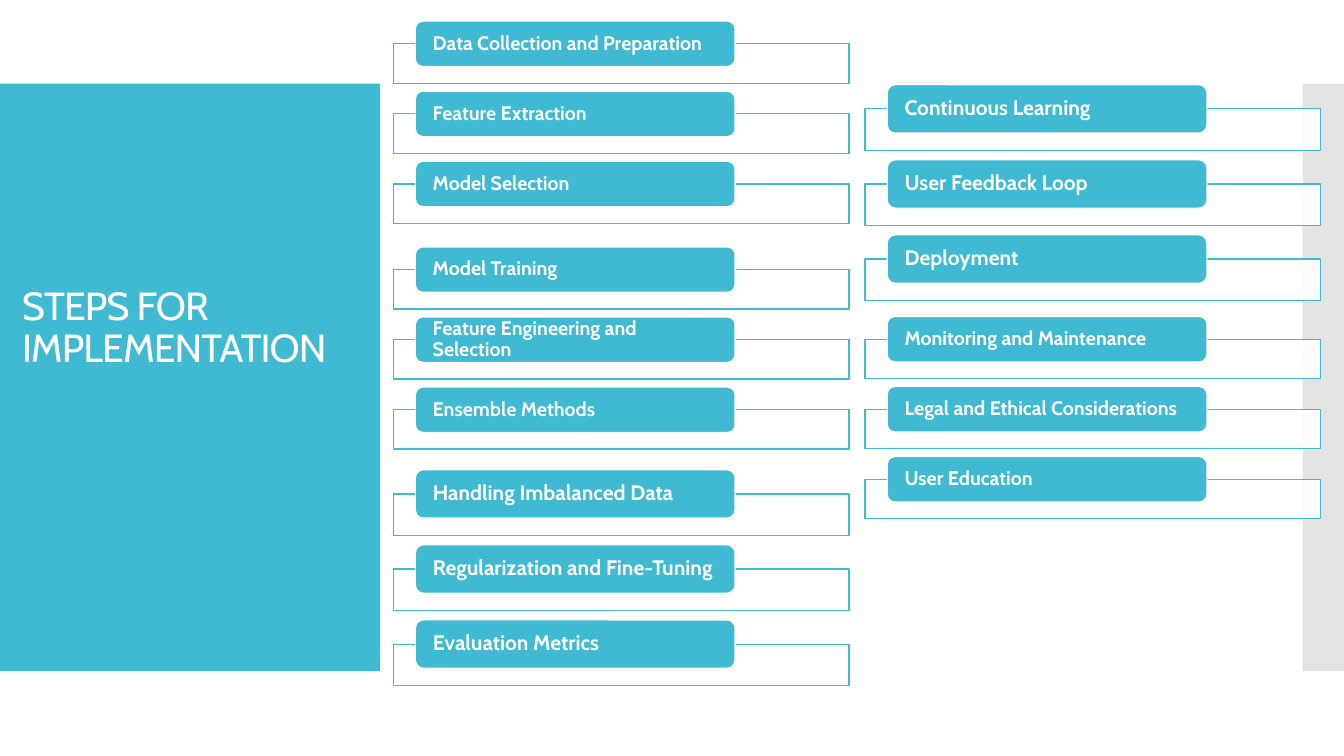
from lxml import etree
from pptx import Presentation
from pptx.dml.color import RGBColor
from pptx.enum import shapes, text
from pptx.oxml.ns import qn
from pptx.util import Inches, Pt

COLORS = {"teal": "40BAD2", "white": "FFFFFF", "gray": "C8C8C8"}
FONT = "Cabin"
LEFT_X, RIGHT_X = 3.9, 8.58

# Pill height, frame height, frame offset, row pitch (inches), font size (points)
SMALL = (0.45, 0.39, 0.225, 0.695, 14)
LARGE = (0.48, 0.41, 0.24, 0.745, 15)

# Column left, top of first pill, row style, steps
GROUPS = [
    (LEFT_X, 0.21, SMALL, ["Data Collection and Preparation", "Feature Extraction",
                           "Model Selection"]),
    (LEFT_X, 2.45, SMALL, ["Model Training", "Feature Engineering and Selection",
                           "Ensemble Methods"]),
    (LEFT_X, 4.66, LARGE, ["Handling Imbalanced Data", "Regularization and Fine-Tuning",
                           "Evaluation Metrics"]),
    (RIGHT_X, 0.84, LARGE, ["Continuous Learning", "User Feedback Loop", "Deployment"]),
    (RIGHT_X, 3.14, SMALL, ["Monitoring and Maintenance",
                            "Legal and Ethical Considerations", "User Education"]),
]


def rgb(name):
    return RGBColor.from_string(COLORS[name])


def add_box(s, x, y, w, h, fill, line=None, alpha=None, rounded=False):
    kind = shapes.MSO_SHAPE.ROUNDED_RECTANGLE if rounded else shapes.MSO_SHAPE.RECTANGLE
    sp = s.shapes.add_shape(kind, Inches(x), Inches(y), Inches(w), Inches(h))
    sp.shadow.inherit = False
    sp.fill.solid()
    sp.fill.fore_color.rgb = rgb(fill)
    if alpha:
        clr = sp.fill._xPr.find(qn("a:solidFill"))[0]
        etree.SubElement(clr, qn("a:alpha")).set("val", str(alpha * 1000))
    if line:
        sp.line.color.rgb = rgb(line)
        sp.line.width = Pt(0.85)
    else:
        sp.line.fill.background()
    return sp


def write(sp, words, size, bold=False, inset=0.1):
    tf = sp.text_frame
    tf.word_wrap = True
    tf.vertical_anchor = text.MSO_ANCHOR.MIDDLE
    tf.margin_left = tf.margin_right = Inches(inset)
    tf.margin_top = tf.margin_bottom = 0
    p = tf.paragraphs[0]
    p.text = words
    p.alignment = text.PP_ALIGN.LEFT
    p.line_spacing = 0.9
    p.font.name = FONT
    p.font.size = Pt(size)
    p.font.bold = bold
    p.font.color.rgb = rgb("white")
    return p


def add_title(s, words):
    sp = s.shapes.add_textbox(Inches(0.12), Inches(0.78), Inches(3.51), Inches(4.96))
    p = write(sp, words, 28)
    p.runs[0].font._element.set("spc", "-60")


def add_step(s, x, y, style, words):
    pill_h, frame_h, offset, _, size = style
    add_box(s, x, y + offset, 4.52, frame_h, "white", line="teal", alpha=90)
    pill = add_box(s, x + 0.22, y, 3.17, pill_h, "teal", line="white", rounded=True)
    pill.adjustments[0] = 0.167
    write(pill, words, size, bold=True, inset=0.15)


def main():
    prs = Presentation()
    prs.slide_width, prs.slide_height = Inches(13.33), Inches(7.5)
    s = prs.slides.add_slide(prs.slide_layouts[6])

    # Side panels and title
    add_box(s, 0, 0.83, 3.77, 5.83, "teal")
    add_box(s, 12.92, 0.83, 0.41, 5.83, "gray", alpha=50)
    add_title(s, "STEPS FOR IMPLEMENTATION")

    # Step lists
    for x, top, style, steps in GROUPS:
        pitch = style[3]
        for i, step in enumerate(steps):
            add_step(s, x, top + i * pitch, style, step)

    prs.save("out.pptx")


main()
